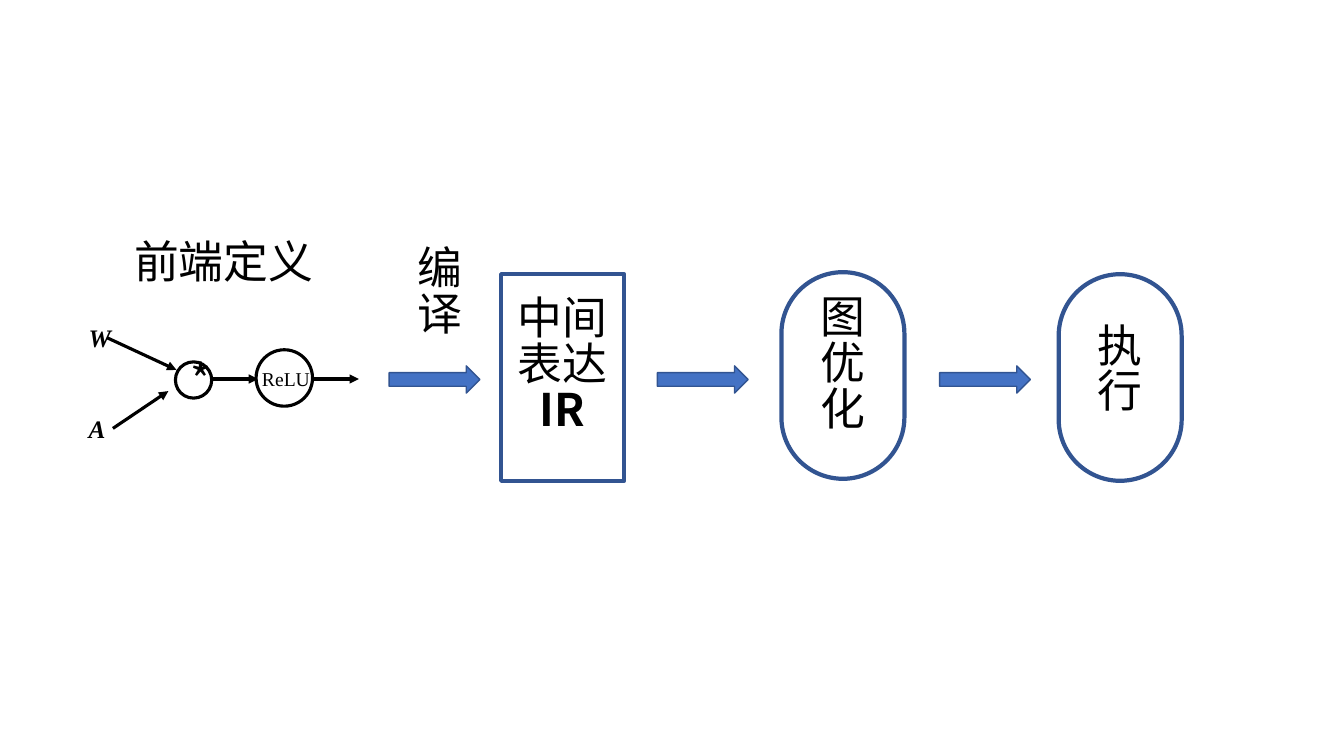
from lxml import etree
from pptx import Presentation
from pptx.dml.color import RGBColor
from pptx.enum.shapes import MSO_CONNECTOR, MSO_SHAPE
from pptx.enum.text import MSO_ANCHOR, PP_ALIGN
from pptx.oxml.ns import qn
from pptx.util import Inches, Pt

BLACK = RGBColor(0, 0, 0)
WHITE = RGBColor(0xFF, 0xFF, 0xFF)
BLUE = RGBColor(0x44, 0x72, 0xC4)
NAVY = RGBColor(0x32, 0x54, 0x91)
SANS, SERIF = "Noto Sans CJK SC", "Times New Roman"
CENTER, LEFT = PP_ALIGN.CENTER, PP_ALIGN.LEFT
TOP, MIDDLE = MSO_ANCHOR.TOP, MSO_ANCHOR.MIDDLE
OVAL, ARROW, ROUNDED = MSO_SHAPE.OVAL, MSO_SHAPE.RIGHT_ARROW, MSO_SHAPE.ROUNDED_RECTANGLE
STRAIGHT = MSO_CONNECTOR.STRAIGHT

STAGE_W, STAGE_H = 1.22, 2.05
AXIS_Y = 3.76


def write(s, lines, size=32, font=SANS, align=CENTER, anchor=TOP, style=False, spacing=None):
    tf = s.text_frame
    tf.word_wrap = True
    tf.vertical_anchor = anchor
    for i, line in enumerate(lines):
        p = tf.paragraphs[0] if i == 0 else tf.add_paragraph()
        p.alignment = align
        p.line_spacing = spacing
        r = p.add_run()
        r.text = line
        f = r.font
        f.name, f.size = font, Pt(size)
        f.bold = style or line == "IR"
        f.italic = style
        f.color.rgb = BLACK
        etree.SubElement(r._r.get_or_add_rPr(), qn("a:ea"), typeface=font)


def add_label(slide, x, y, w, h, lines, **kwargs):
    s = slide.shapes.add_textbox(Inches(x), Inches(y), Inches(w), Inches(h))
    write(s, lines, **kwargs)


def add_heading(slide, x, y, w, h, *lines):
    add_label(slide, x, y, w, h, lines, spacing=0.85)


def add_outlined(slide, kind, x, y, w, h, line, width, fill=None):
    s = slide.shapes.add_shape(kind, Inches(x), Inches(y), Inches(w), Inches(h))
    s.shadow.inherit = False
    if fill is None:
        s.fill.background()
    else:
        s.fill.solid()
        s.fill.fore_color.rgb = fill
    s.line.color.rgb = line
    s.line.width = Pt(width)
    return s


def add_edge(slide, x1, y1, x2, y2):
    c = slide.shapes.add_connector(STRAIGHT, Inches(x1), Inches(y1), Inches(x2), Inches(y2))
    c.line.color.rgb = BLACK
    c.line.width = Pt(2.25)
    etree.SubElement(c.line._get_or_add_ln(), qn("a:tailEnd"), type="triangle")
    etree.SubElement(c._element.spPr, qn("a:effectLst"))


def add_graph(slide, x, y):
    """Draw the W * A -> ReLU graph with its left end at x and its axis at y."""
    for name, dy in (("W", -0.61), ("A", 0.29)):
        add_label(slide, x, y + dy, 0.28, 0.4, [name], size=18, font=SERIF,
                  align=LEFT, style=True)
    add_edge(slide, x + 0.28, y - 0.41, x + 0.97, y - 0.09)
    add_edge(slide, x + 0.34, y + 0.49, x + 0.89, y + 0.12)
    add_edge(slide, x + 1.32, y, x + 1.78, y)
    s = add_outlined(slide, OVAL, x + 0.96, y - 0.17, 0.36, 0.36, BLACK, 2.25, WHITE)
    write(s, ["*"], anchor=MIDDLE)
    add_outlined(slide, OVAL, x + 1.76, y - 0.29, 0.56, 0.56, BLACK, 2.25, WHITE)
    add_label(slide, x + 1.72, y - 0.17, 1.18, 0.34, ["ReLU"], size=14, font=SERIF, align=LEFT)
    add_edge(slide, x + 2.32, y, x + 2.78, y)


def add_stage(slide, x, y, rounding, text_w, text_h, text_dy, *lines):
    s = add_outlined(slide, ROUNDED, x, y, STAGE_W, STAGE_H, NAVY, 3)
    s.adjustments[0] = rounding
    add_heading(slide, x + (STAGE_W - text_w) / 2, y + text_dy, text_w, text_h, *lines)


def main():
    prs = Presentation()
    prs.slide_width, prs.slide_height = Inches(13.33), Inches(7.5)
    slide = prs.slides.add_slide(prs.slide_layouts[6])
    add_graph(slide, 0.78, AXIS_Y)
    for x in (3.86, 6.52, 9.32):
        add_outlined(slide, ARROW, x, AXIS_Y - 0.13, 0.9, 0.27, NAVY, 1, BLUE)
    add_stage(slide, 4.97, 2.72, 0, 1.27, 1.72, 0.19, "中间表达", "IR")
    add_stage(slide, 7.75, 2.7, 0.5, 0.92, 1.72, 0.2, "图优化")
    add_stage(slide, 10.5, 2.72, 0.5, 0.92, 1.18, 0.46, "执行")
    add_heading(slide, 3.9, 2.41, 0.92, 1.18, "编译")
    add_heading(slide, 1.19, 2.35, 2.06, 0.64, "前端定义")
    prs.save("out.pptx")


if __name__ == "__main__":
    main()
